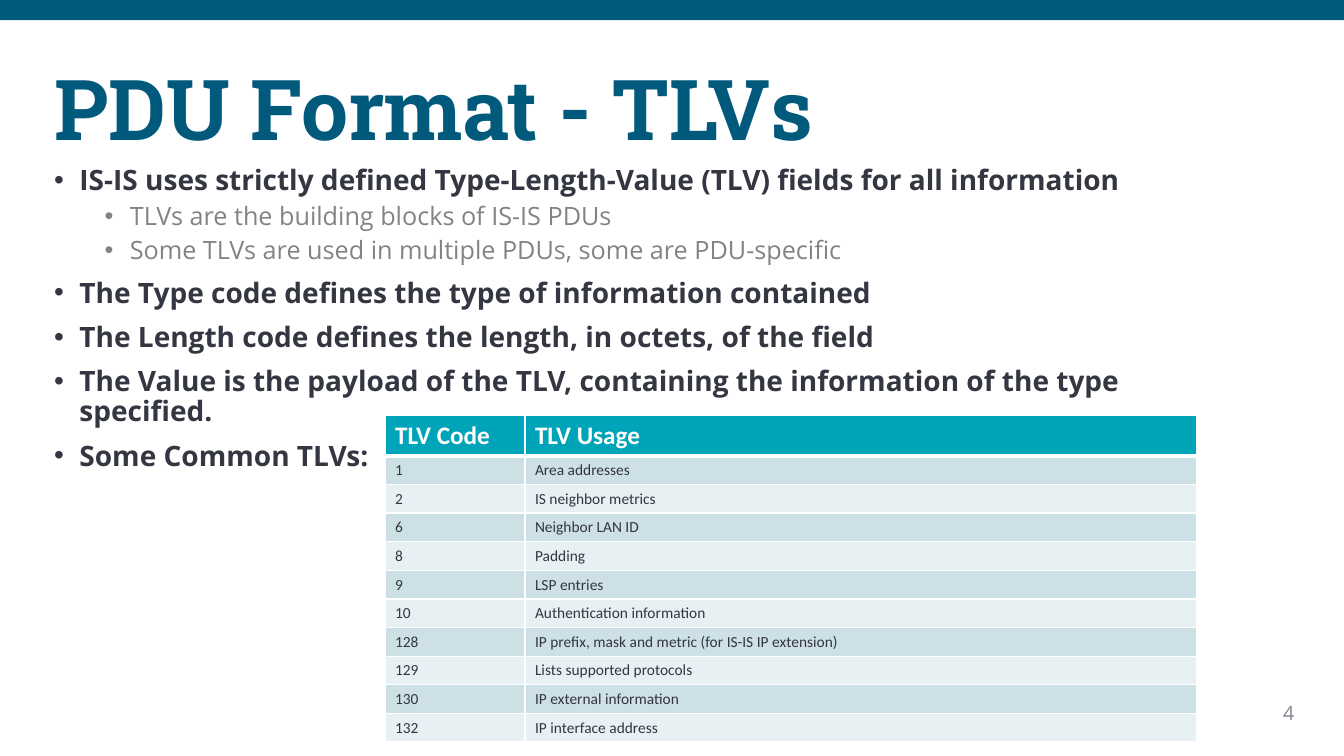
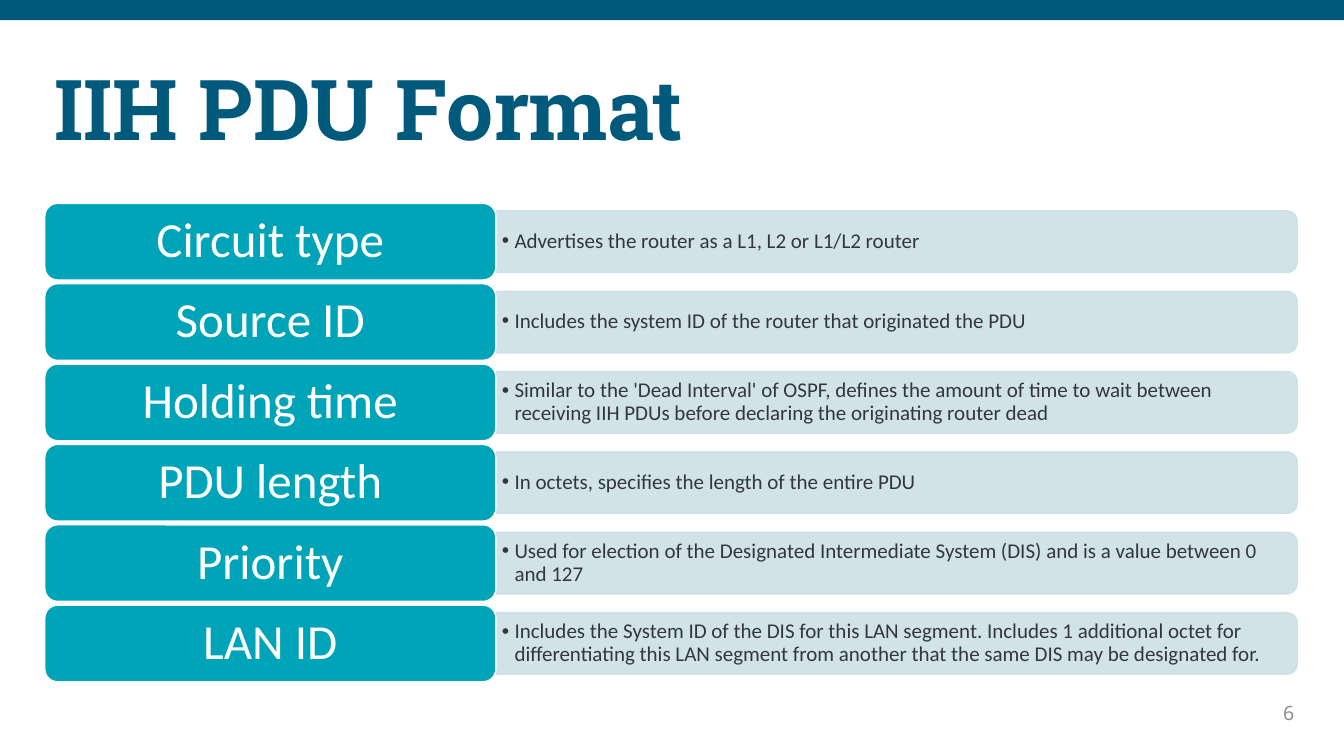
from lxml.etree import SubElement
from pptx import Presentation
from pptx.dml.color import RGBColor
from pptx.enum.shapes import MSO_SHAPE as Shape
from pptx.enum.text import MSO_ANCHOR as Anchor, PP_ALIGN as Align
from pptx.oxml.ns import qn
from pptx.util import Pt

# Colours and fonts
BAND_BLUE = RGBColor(0x00, 0x5A, 0x7C)
TITLE_BLUE = RGBColor(0x01, 0x5A, 0x7C)
TEAL = RGBColor(0x00, 0xA4, 0xB8)
PALE_BLUE = RGBColor(0xCC, 0xE0, 0xE6)
PALER_BLUE = RGBColor(0xE7, 0xF0, 0xF3)
BODY_INK = RGBColor(0x34, 0x37, 0x41)
DARK_INK = RGBColor(0x33, 0x36, 0x41)
SUB_GREY = RGBColor(0x83, 0x83, 0x83)
NUMBER_GREY = RGBColor(0x85, 0x88, 0x91)
WHITE = RGBColor(0xFF, 0xFF, 0xFF)
TITLE_FONT, BODY_FONT, PLAIN_FONT = "Roboto Slab", "Open Sans", "Calibri"
PAGE_WIDTH, PAGE_HEIGHT = 960, 540

# Slide content: bullets are (level, text)
TLV_BULLETS = [
    (0, "IS-IS uses strictly defined Type-Length-Value (TLV) fields for all information"),
    (1, "TLVs are the building blocks of IS-IS PDUs"),
    (1, "Some TLVs are used in multiple PDUs, some are PDU-specific"),
    (0, "The Type code defines the type of information contained"),
    (0, "The Length code defines the length, in octets, of the field"),
    (0, "The Value is the payload of the TLV, containing the information of the type specified."),
    (0, "Some Common TLVs:"),
]
TLV_ROWS = [
    ("TLV Code", "TLV Usage"),
    ("1", "Area addresses"),
    ("2", "IS neighbor metrics"),
    ("6", "Neighbor LAN ID"),
    ("8", "Padding"),
    ("9", "LSP entries"),
    ("10", "Authentication information"),
    ("128", "IP prefix, mask and metric (for IS-IS IP extension)"),
    ("129", "Lists supported protocols"),
    ("130", "IP external information"),
    ("132", "IP interface address"),
]
IIH_FIELDS = [
    ("Circuit type", "Advertises the router as a L1, L2 or L1/L2 router"),
    ("Source ID", "Includes the system ID of the router that originated the PDU"),
    ("Holding time", "Similar to the 'Dead Interval' of OSPF, defines the amount of time to wait "
                     "between receiving IIH PDUs before declaring the originating router dead"),
    ("PDU length", "In octets, specifies the length of the entire PDU"),
    ("Priority", "Used for election of the Designated Intermediate System (DIS) and is a value "
                 "between 0 and 127"),
    ("LAN ID", "Includes the System ID of the DIS for this LAN segment. Includes 1 additional "
               "octet for differentiating this LAN segment from another that the same DIS may "
               "be designated for."),
]


class SlideBuilder:
    """Holds the shared style and the slide being built."""

    def __init__(self):
        self.deck = Presentation()
        self.deck.slide_width = Pt(PAGE_WIDTH)
        self.deck.slide_height = Pt(PAGE_HEIGHT)
        self.page = None

    def new_page(self, title, number):
        self.page = self.deck.slides.add_slide(self.deck.slide_layouts[6])
        self.block(Shape.RECTANGLE, 0, 0, PAGE_WIDTH, 14.4, BAND_BLUE)
        frame = self.box(885.6, 496.8, 46, 24.5)
        self.put_text(frame.paragraphs[0], str(number), 14, NUMBER_GREY, align=Align.RIGHT)
        frame = self.box(31.7, 28.8, 916.6, 104.4, Anchor.MIDDLE)
        self.put_text(frame.paragraphs[0], title, 60, TITLE_BLUE, TITLE_FONT, True, spacing=0.9)

    def box(self, left, top, width, height, anchor=Anchor.TOP, insets=(7.2, 3.6)):
        box = self.page.shapes.add_textbox(Pt(left), Pt(top), Pt(width), Pt(height))
        return self.set_frame(box.text_frame, anchor, insets)

    def set_frame(self, frame, anchor, insets):
        frame.word_wrap = True
        frame.vertical_anchor = anchor
        frame.margin_left = frame.margin_right = Pt(insets[0])
        frame.margin_top = frame.margin_bottom = Pt(insets[1])
        return frame

    def put_text(self, para, text, size, color, font=BODY_FONT, bold=False,
                 align=Align.LEFT, spacing=None):
        para.text = text
        para.alignment = align
        if spacing:
            para.line_spacing = spacing
        for span in para.runs:
            span.font.name, span.font.size, span.font.bold = font, Pt(size), bold
            span.font.color.rgb = color

    def bullet(self, para, indent, hang):
        props = para._p.get_or_add_pPr()
        props.set("marL", str(Pt(indent)))
        props.set("indent", str(-Pt(hang)))
        SubElement(props, qn("a:buFont")).set("typeface", "Arial")
        SubElement(props, qn("a:buChar")).set("char", "•")

    def bullet_list(self, items, left, top, width, height):
        frame = self.box(left, top, width, height)
        for index, (level, text) in enumerate(items):
            para = frame.add_paragraph() if index else frame.paragraphs[0]
            para.level = level
            self.bullet(para, 54 if level else 18, 18)
            if index:
                para.space_before = Pt(5 if level else 10)
            size, color = (18, SUB_GREY) if level else (20, BODY_INK)
            self.put_text(para, text, size, color, bold=not level, spacing=0.9)

    def block(self, kind, left, top, width, height, fill, line=None, opacity=None):
        block = self.page.shapes.add_shape(kind, Pt(left), Pt(top), Pt(width), Pt(height))
        block.shadow.inherit = False
        block.fill.solid()
        block.fill.fore_color.rgb = fill
        if line is None:
            block.line.fill.background()
        else:
            block.line.color.rgb = line
            block.line.width = Pt(1)
        if opacity:
            for color in block._element.spPr.iter(qn("a:srgbClr")):
                SubElement(color, qn("a:alpha")).set("val", str(opacity * 1000))
        return block

    def field_row(self, label, detail, top):
        height, split, panel_width, panel_height = 54.7, 354.2, 572.4, 44
        middle = top + height / 2
        # A tall shape turned a quarter puts the round corners on the right
        panel = self.block(Shape.ROUND_2_SAME_RECTANGLE,
                           split + (panel_width - panel_height) / 2, middle - panel_width / 2,
                           panel_height, panel_width, PALE_BLUE, PALE_BLUE, opacity=90)
        panel.rotation = 90
        frame = self.box(split, middle - 20, 570.2, 40, Anchor.MIDDLE, (4.3, 2.2))
        para = frame.paragraphs[0]
        self.bullet(para, 9, 9)
        self.put_text(para, detail, 15, DARK_INK, PLAIN_FONT, spacing=0.9)
        tab = self.block(Shape.ROUNDED_RECTANGLE, 32, top, split - 32, height, TEAL, WHITE)
        frame = self.set_frame(tab.text_frame, Anchor.MIDDLE, (10.8, 5))
        self.put_text(frame.paragraphs[0], label, 35, WHITE, PLAIN_FONT,
                      align=Align.CENTER, spacing=0.9)

    def table(self, rows, left, top, widths, header_height, row_height):
        height = header_height + row_height * (len(rows) - 1)
        table = self.page.shapes.add_table(len(rows), len(widths), Pt(left), Pt(top),
                                           Pt(sum(widths)), Pt(height)).table
        for column, width in zip(table.columns, widths):
            column.width = Pt(width)
        for row_index, values in enumerate(rows):
            header = row_index == 0
            table.rows[row_index].height = Pt(header_height if header else row_height)
            fill = TEAL if header else PALE_BLUE if row_index % 2 else PALER_BLUE
            size, color = (18, WHITE) if header else (11, DARK_INK)
            for cell, value in zip(table.rows[row_index].cells, values):
                self.put_text(cell.text_frame.paragraphs[0], value, size, color,
                              PLAIN_FONT, header)
                self.cell_borders(cell, top=3 if row_index == 1 else 1,
                                  bottom=3 if header else 1)
                cell.fill.solid()
                cell.fill.fore_color.rgb = fill

    def cell_borders(self, cell, top, bottom):
        props = cell._tc.get_or_add_tcPr()
        for side, width in (("L", 1), ("R", 1), ("T", top), ("B", bottom)):
            line = SubElement(props, qn(f"a:ln{side}"), w=str(Pt(width)))
            fill = SubElement(line, qn("a:solidFill"))
            SubElement(fill, qn("a:srgbClr")).set("val", str(WHITE))


def main():
    builder = SlideBuilder()

    # TLV overview
    builder.new_page("PDU Format - TLVs", 4)
    builder.bullet_list(TLV_BULLETS, 31.7, 115.2, 842.4, 238.3)
    builder.table(TLV_ROWS, 275, 296.8, (100, 479.5), 25.5, 19.5)

    # IIH fields
    builder.new_page("IIH PDU Format", 6)
    for index, (label, detail) in enumerate(IIH_FIELDS):
        builder.field_row(label, detail, 145.3 + index * 57.4)

    builder.deck.save("out.pptx")


if __name__ == "__main__":
    main()
